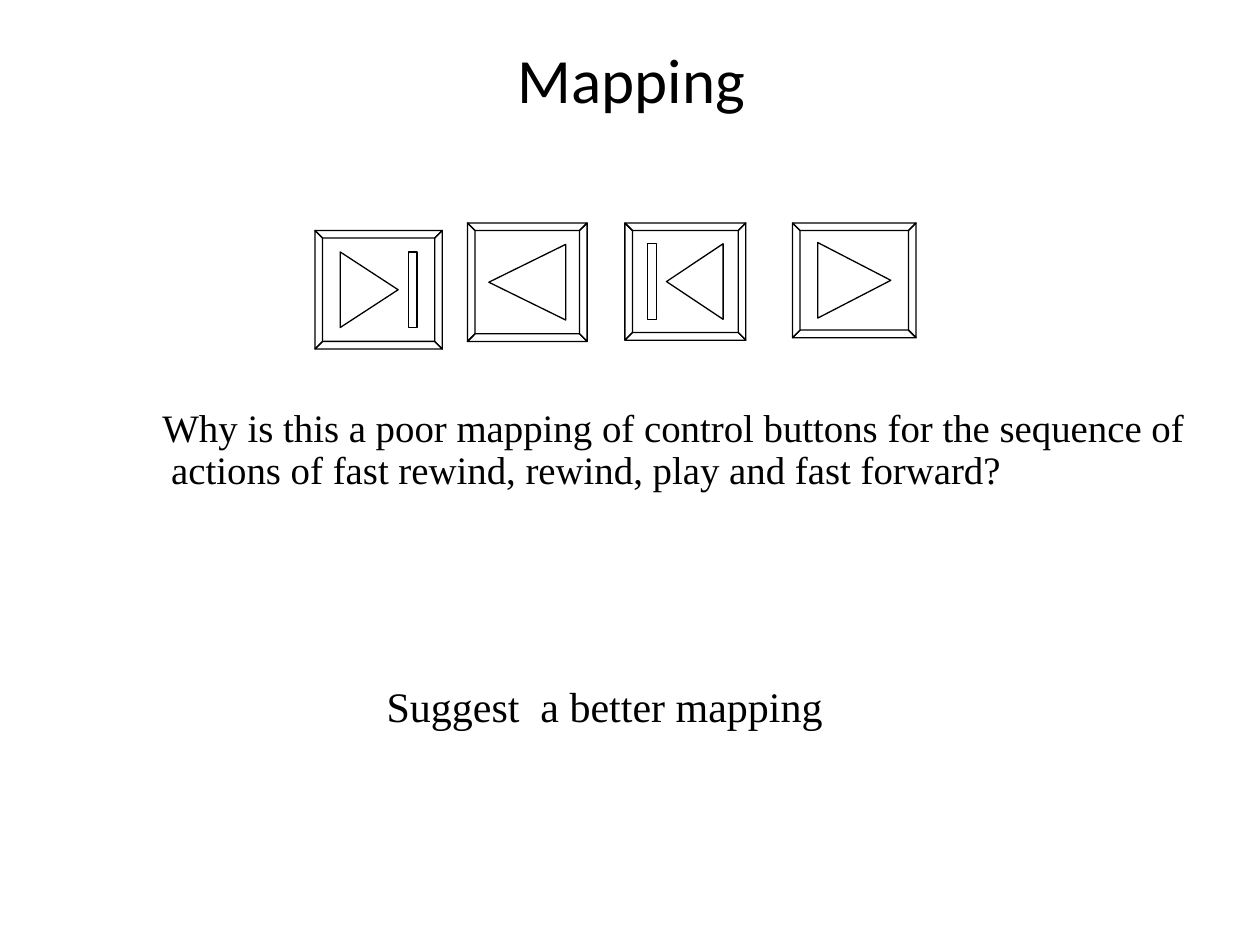
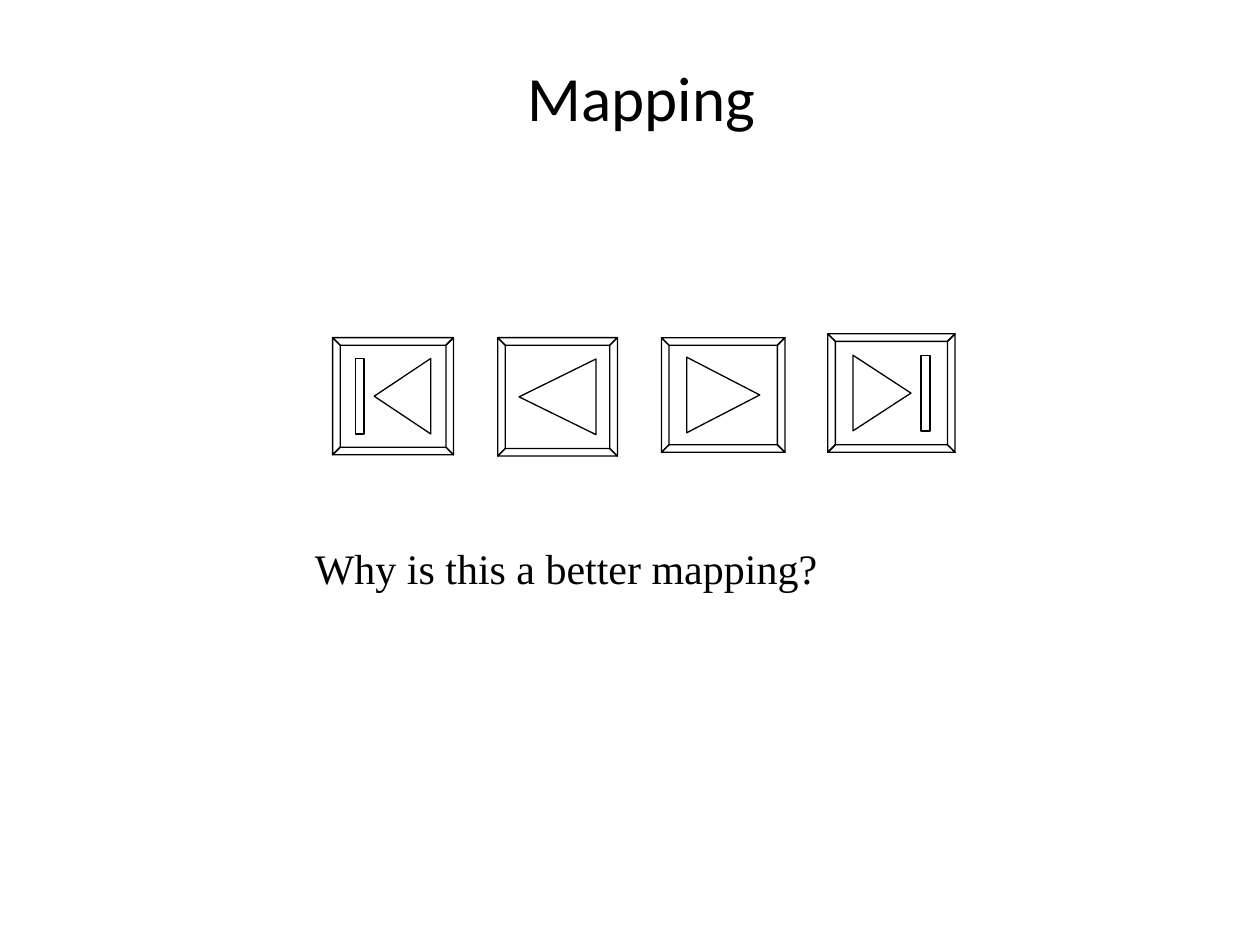
from dataclasses import dataclass

from pptx import Presentation, util as u
from pptx.dml.color import RGBColor
from pptx.enum import text as t


@dataclass(frozen=True)
class Theme:
    ink: RGBColor = RGBColor(0, 0, 0)
    paper: RGBColor = RGBColor(255, 255, 255)
    head: str = "Calibri"
    body: str = "Times New Roman"
    title: float = 36
    large: float = 24
    small: float = 22.2
    line: float = 0.75


@dataclass(frozen=True)
class Key:
    """Size of a button; tail and tip place its triangle, bar its stripe."""
    width: float
    height: float
    tail: float
    tip: float
    bar: float = None


KEYS = {
    "start": Key(0.96, 0.93, 0.78, 0.33, 0.18),
    "back": Key(0.95, 0.94, 0.78, 0.17),
    "play": Key(0.98, 0.91, 0.20, 0.78),
    "end": Key(1.01, 0.94, 0.20, 0.66, 0.74),
}
EDGE, HALF, STRIPE = 0.06, 0.3, 0.07


def write(frame, words, font, size, color, align=t.PP_ALIGN.LEFT, space=None):
    frame.word_wrap = True
    para = frame.paragraphs[0]
    para.text = words
    para.alignment = align
    para.line_spacing = space
    face = para.runs[0].font
    face.name, face.size, face.color.rgb = font, u.Pt(size), color
    return para


def box(left, top, right, low):
    """Corners, clockwise from the upper left."""
    return [(left, top), (right, top), (right, low), (left, low)]


def outlines(key):
    """Closed outlines of a button, measured from its upper left corner."""
    wide, high = key.width, key.height
    outer = box(0, 0, wide, high)
    inner = box(EDGE, EDGE, wide - EDGE, high - EDGE)
    loops = []
    for i in range(4):
        j = (i + 1) % 4
        loops.append([outer[i], outer[j], inner[j], inner[i]])
    mid = high / 2
    loops.append([(key.tail, mid - HALF), (key.tip, mid), (key.tail, mid + HALF)])
    if key.bar is not None:
        loops.append(box(key.bar, mid - HALF, key.bar + STRIPE, mid + HALF))
    return loops


class Deck:
    def __init__(self, theme):
        self.theme = theme
        self.file = Presentation()
        self.file.slide_width, self.file.slide_height = u.Inches(10), u.Inches(7.5)
        self.slide = None

    def page(self, title, left, top):
        self.slide = self.file.slides.add_slide(self.file.slide_layouts[5])
        fill = self.slide.background.fill
        fill.solid()
        fill.fore_color.rgb = self.theme.paper
        head = self.slide.shapes.title
        head.left, head.top = u.Inches(left), u.Inches(top)
        head.width, head.height = u.Inches(9), u.Inches(1.25)
        head.text_frame.vertical_anchor = t.MSO_ANCHOR.MIDDLE
        write(head.text_frame, title, self.theme.head, self.theme.title,
              self.theme.ink, align=t.PP_ALIGN.CENTER)

    def note(self, words, left, top, width, height, size):
        area = self.slide.shapes.add_textbox(*map(u.Inches, (left, top, width, height)))
        return write(area.text_frame, words, self.theme.body, size,
                     self.theme.ink, space=0.9)

    def button(self, name, left, top):
        pen = None
        for loop in outlines(KEYS[name]):
            first, *rest = [(u.Inches(left + x), u.Inches(top + y)) for x, y in loop]
            if pen is None:
                pen = self.slide.shapes.build_freeform(*first)
            else:
                pen.move_to(*first)
            pen.add_line_segments(rest, close=True)
        shape = pen.convert_to_shape()
        shape.shadow.inherit = False
        shape.fill.background()
        shape.line.color.rgb = self.theme.ink
        shape.line.width = u.Pt(self.theme.line)

    def buttons(self, *places):
        for place in places:
            self.button(*place)


def main():
    theme = Theme()
    deck = Deck(theme)

    deck.page("Mapping", 0.51, 0)
    deck.buttons(("end", 2.5, 1.83), ("back", 3.71, 1.77),
                 ("start", 4.96, 1.77), ("play", 6.29, 1.77))
    ask = deck.note("Why is this a poor mapping of control buttons for the sequence of "
                    "actions of fast rewind, rewind, play and fast forward?",
                    0.89, 3.2, 8.81, 1.04, theme.small)
    props = ask._p.get_or_add_pPr()
    props.set("marL", str(u.Inches(0.37)))
    props.set("indent", str(u.Inches(-0.07)))
    deck.note("Suggest  a better mapping", 2.97, 5.4, 5.76, 0.72, theme.large)

    deck.page("Mapping", 0.59, 0.14)
    deck.buttons(("start", 2.64, 2.68), ("back", 3.95, 2.68),
                 ("play", 5.25, 2.68), ("end", 6.57, 2.65))
    deck.note("Why is this a better mapping?", 2.4, 4.3, 5.93, 0.72, theme.large)

    deck.file.save("out.pptx")


if __name__ == "__main__":
    main()
